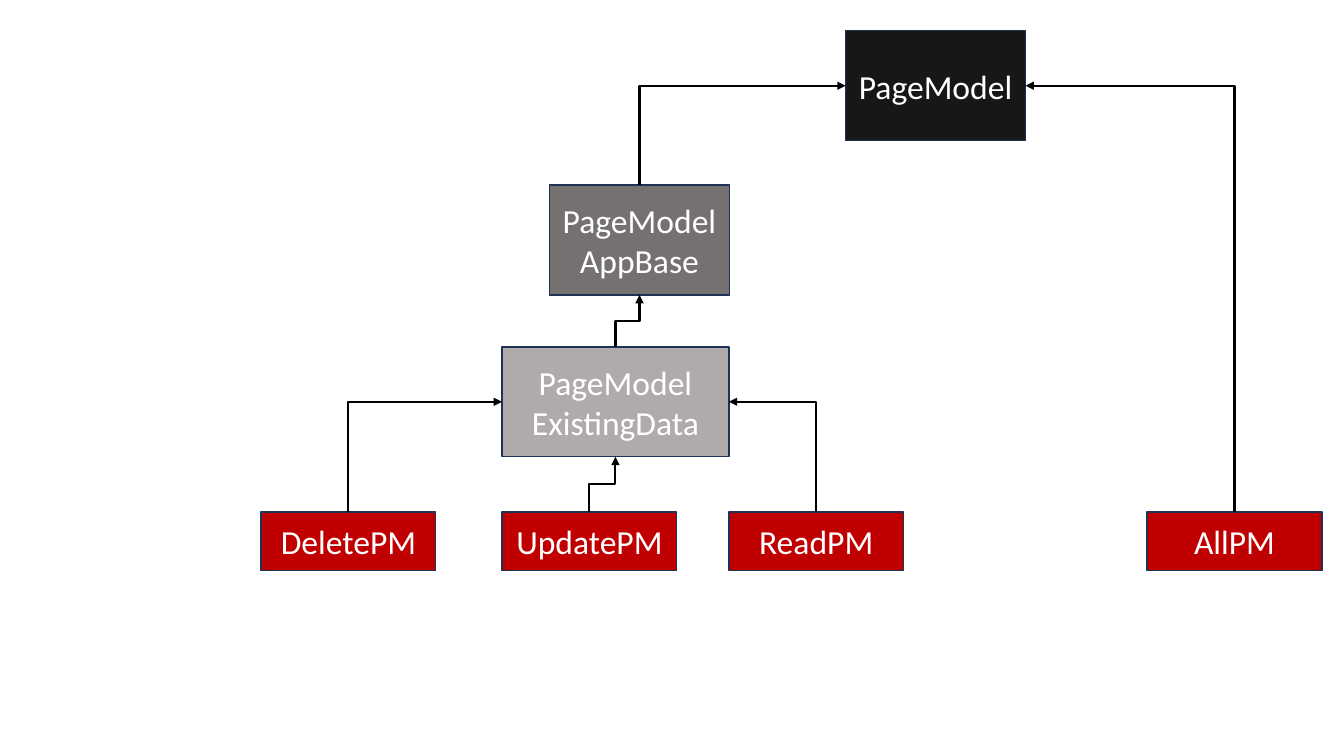
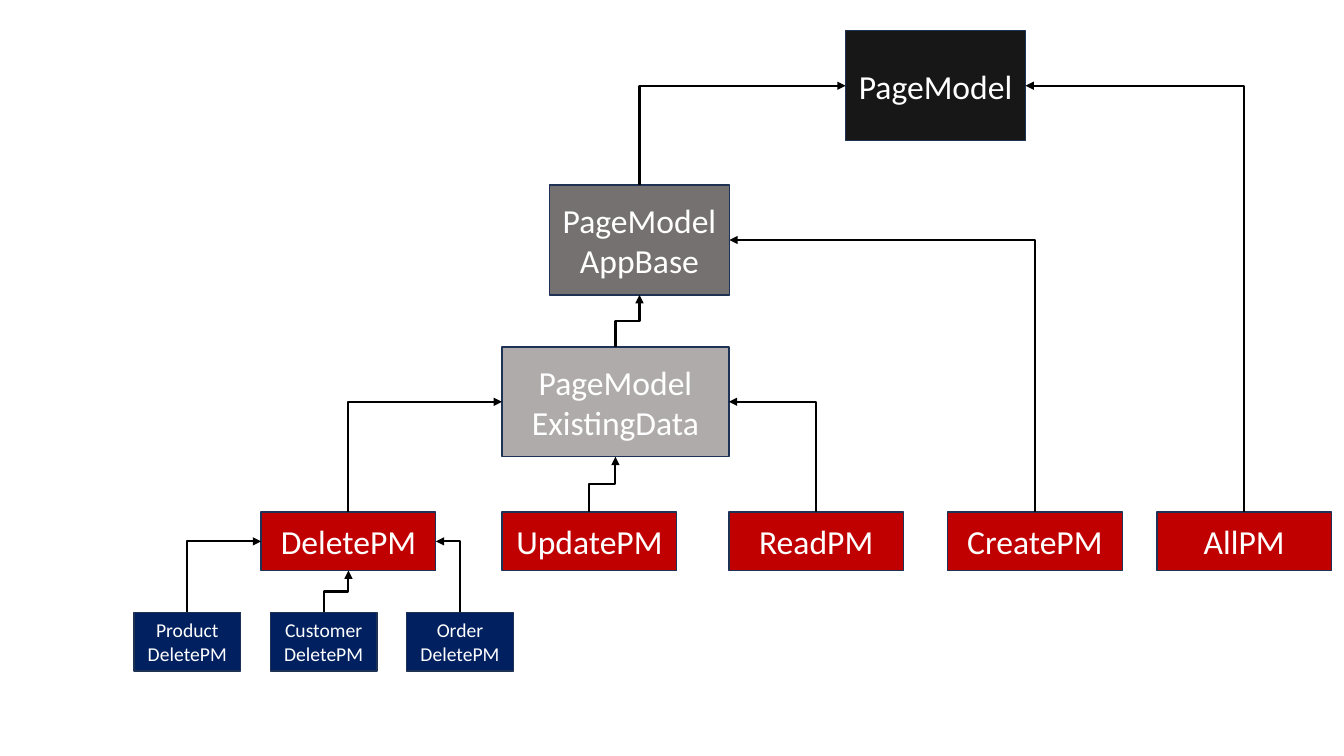
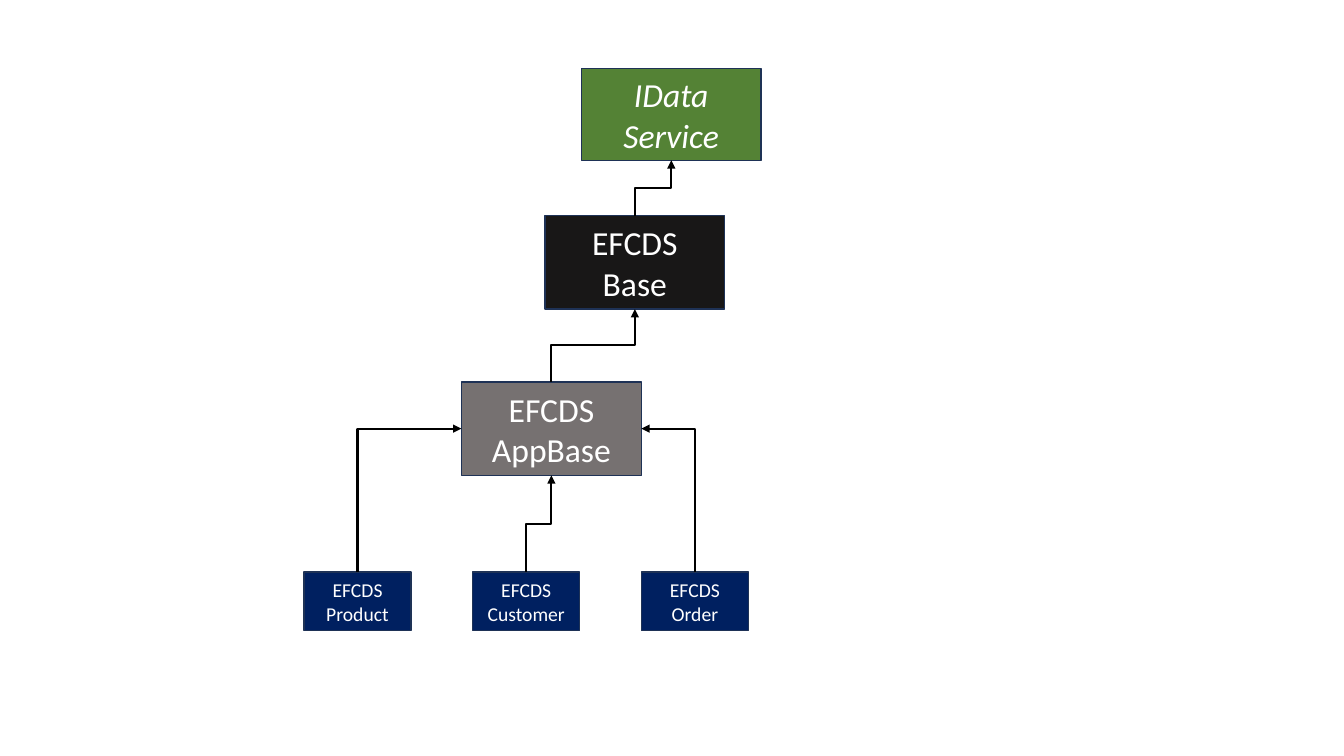
"""Build three class hierarchy diagrams."""
from typing import NamedTuple

from lxml import etree
from pptx import Presentation
from pptx.dml.color import RGBColor
from pptx.enum.shapes import MSO_CONNECTOR, MSO_SHAPE
from pptx.enum.text import MSO_ANCHOR, PP_ALIGN
from pptx.oxml.ns import qn
from pptx.util import Pt

RECTANGLE = MSO_SHAPE.RECTANGLE
ELBOW = MSO_CONNECTOR.ELBOW
MIDDLE = MSO_ANCHOR.MIDDLE
CENTER = PP_ALIGN.CENTER
TOP, LEFT, BOTTOM, RIGHT = range(4)

WHITE = RGBColor(0xFF, 0xFF, 0xFF)
BLACK = RGBColor(0x00, 0x00, 0x00)
CHARCOAL = RGBColor(0x18, 0x17, 0x17)
DARK_GRAY = RGBColor(0x76, 0x71, 0x71)
LIGHT_GRAY = RGBColor(0xAF, 0xAB, 0xAB)
RED = RGBColor(0xC0, 0x00, 0x00)
NAVY = RGBColor(0x00, 0x20, 0x60)
GREEN = RGBColor(0x54, 0x82, 0x35)
OUTLINE = RGBColor(0x1E, 0x32, 0x56)
FONT = "Calibri"


class BoxStyle(NamedTuple):
    """Look and size of one kind of class box, in points."""

    fill: RGBColor
    width: float
    height: float
    size: float = 24
    italic: bool = False


FRAMEWORK = BoxStyle(CHARCOAL, 128.5, 78.5)
APP_BASE = BoxStyle(DARK_GRAY, 128.5, 78.5)
EXISTING_DATA = BoxStyle(LIGHT_GRAY, 162, 78.5)
OPERATION = BoxStyle(RED, 124.8, 41.8)
ENTITY = BoxStyle(NAVY, 76.4, 41.8, size=14)
INTERFACE = BoxStyle(GREEN, 128.5, 65.5, italic=True)
SERVICE_BASE = FRAMEWORK._replace(height=66.8)
SERVICE_APP_BASE = APP_BASE._replace(height=66.8)


def add_box(slide, style, left, top, *lines):
    """Add a class box with one centred paragraph for each line."""
    shape = slide.shapes.add_shape(
        RECTANGLE, Pt(left), Pt(top), Pt(style.width), Pt(style.height))
    shape.shadow.inherit = False
    shape.fill.solid()
    shape.fill.fore_color.rgb = style.fill
    shape.line.color.rgb = OUTLINE
    shape.line.width = Pt(1)
    frame = shape.text_frame
    frame.word_wrap = True
    frame.vertical_anchor = MIDDLE
    for index, line in enumerate(lines):
        paragraph = frame.add_paragraph() if index else frame.paragraphs[0]
        paragraph.alignment = CENTER
        run = paragraph.add_run()
        run.text = line
        run.font.name = FONT
        run.font.size = Pt(style.size)
        run.font.italic = style.italic
        run.font.color.rgb = WHITE
    return shape


def side_point(shape, side):
    """Return the middle of a side of a shape."""
    across = {LEFT: 0, RIGHT: shape.width}.get(side, shape.width // 2)
    down = {TOP: 0, BOTTOM: shape.height}.get(side, shape.height // 2)
    return shape.left + across, shape.top + down


def inherit(slide, child, parent, side=BOTTOM):
    """Draw a bent arrow from the top of a child up to a side of its parent."""
    start_x, start_y = side_point(child, TOP)
    end_x, end_y = side_point(parent, side)
    connector = slide.shapes.add_connector(ELBOW, start_x, start_y, end_x, end_y)
    connector.begin_connect(child, TOP)
    connector.end_connect(parent, side)
    connector.width = abs(end_y - start_y)
    connector.height = abs(end_x - start_x)
    connector.left = (start_x + end_x - connector.width) // 2
    connector.top = (start_y + end_y - connector.height) // 2
    rightward = end_x > start_x
    properties = connector._element.spPr
    transform = properties.find(qn("a:xfrm"))
    transform.set("rot", str((90 if rightward else 270) * 60000))
    transform.set("flipH", "1" if rightward else "0")
    transform.set("flipV", "1")
    if side != BOTTOM:
        properties.find(qn("a:prstGeom")).set("prst", "bentConnector2")
    connector.line.color.rgb = BLACK
    connector.line.width = Pt(1.5)
    etree.SubElement(connector.get_or_add_ln(), qn("a:tailEnd"), type="triangle")
    etree.SubElement(properties, qn("a:effectLst"))


def draw_entities(slide, parent, left, top, step, labels):
    """Draw a row of three entity classes that meet the sides of a parent."""
    for index, (lines, side) in enumerate(zip(labels, (LEFT, BOTTOM, RIGHT))):
        entity = add_box(slide, ENTITY, left + index * step, top, *lines)
        inherit(slide, entity, parent, side)


def draw_page_models(slide, left, top, all_offset, with_create=False):
    """Draw the page model tree and return its delete class."""
    page_model = add_box(slide, FRAMEWORK, left + 417.5, top, "PageModel")
    app_base = add_box(slide, APP_BASE, left + 206, top + 110.2, "PageModel", "AppBase")
    existing = add_box(slide, EXISTING_DATA, left + 172.1, top + 225.8,
                       "PageModel", "ExistingData")
    inherit(slide, app_base, page_model, LEFT)
    inherit(slide, existing, app_base)
    operations = [
        ("DeletePM", 0, existing, LEFT),
        ("UpdatePM", 172.1, existing, BOTTOM),
        ("ReadPM", 334.1, existing, RIGHT),
        ("AllPM", all_offset, page_model, RIGHT),
    ]
    if with_create:
        operations.append(("CreatePM", 490.3, app_base, RIGHT))
    boxes = {}
    for name, offset, parent, side in operations:
        boxes[name] = add_box(slide, OPERATION, left + offset, top + 343.8, name)
        inherit(slide, boxes[name], parent, side)
    return boxes["DeletePM"]


def draw_data_services(slide, left, top):
    """Draw the data service tree."""
    interface = add_box(slide, INTERFACE, left + 198, top, "IData", "Service")
    base = add_box(slide, SERVICE_BASE, left + 172, top + 105, "EFCDS", "Base")
    app_base = add_box(slide, SERVICE_APP_BASE, left + 112.4, top + 223.8,
                       "EFCDS", "AppBase")
    inherit(slide, base, interface)
    inherit(slide, app_base, base)
    labels = [("EFCDS", name) for name in ("Product", "Customer", "Order")]
    draw_entities(slide, app_base, left, top + 359.7, 120.5, labels)


def main():
    """Build and save the presentation."""
    presentation = Presentation()
    presentation.slide_width = Pt(960)
    presentation.slide_height = Pt(540)
    blank = presentation.slide_layouts[6]

    draw_page_models(presentation.slides.add_slide(blank), 186.5, 22, 632.9)

    slide = presentation.slides.add_slide(blank)
    delete = draw_page_models(slide, 186.5, 22, 639.8, with_create=True)
    labels = [(name, "DeletePM") for name in ("Product", "Customer", "Order")]
    draw_entities(slide, delete, 95.6, 437.4, 97.4, labels)

    draw_data_services(presentation.slides.add_slide(blank), 217.2, 49)
    presentation.save("out.pptx")


if __name__ == "__main__":
    main()
